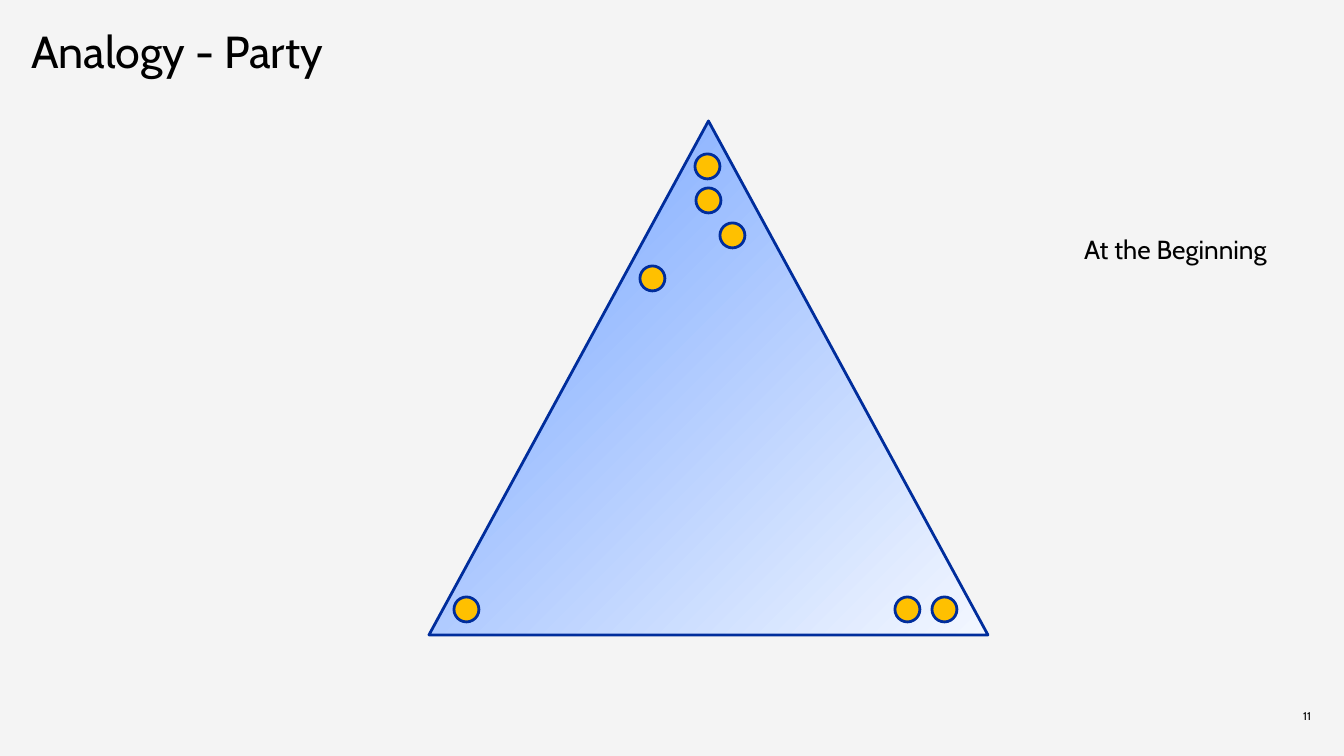
from lxml.etree import SubElement
from pptx import Presentation
from pptx.dml.color import RGBColor
from pptx.enum.shapes import MSO_SHAPE
from pptx.enum.text import MSO_ANCHOR, MSO_AUTO_SIZE, PP_ALIGN
from pptx.oxml.ns import qn
from pptx.util import Pt

EMU_PER_PX = 9144000 / 1344
FONT = "Cabin"
BACKGROUND = RGBColor(0xF4, 0xF4, 0xF4)
BLACK = RGBColor(0x00, 0x00, 0x00)
NAVY = RGBColor(0x00, 0x2D, 0x9C)
AMBER = RGBColor(0xFF, 0xC0, 0x00)
PALE_BLUE = RGBColor(0xF3, 0xF7, 0xFF)
MID_BLUE = RGBColor(0x93, 0xB8, 0xFF)
LIGHT_BLUE = RGBColor(0xB7, 0xD0, 0xFF)
ROOM_GRADIENT = [(0, PALE_BLUE), (74, MID_BLUE), (83, MID_BLUE), (100, LIGHT_BLUE)]

GUEST_SIZE = 25
GUESTS = [(695, 154), (696, 188), (895, 597), (640, 266), (932, 597), (720, 223), (454, 597)]


def px(value):
    return round(value * EMU_PER_PX)


def write_text(shape, text, size, align=PP_ALIGN.LEFT, anchor=MSO_ANCHOR.TOP, line_spacing=None):
    frame = shape.text_frame
    frame.vertical_anchor = anchor
    paragraph = frame.paragraphs[0]
    paragraph.alignment = align
    paragraph.line_spacing = line_spacing
    run = paragraph.add_run()
    run.text = text
    run.font.name = FONT
    run.font.size = Pt(size)
    run.font.color.rgb = BLACK


def remove_insets(frame):
    frame.margin_left = frame.margin_top = frame.margin_right = frame.margin_bottom = 0


def add_title(slide, text):
    title = slide.shapes.title
    title.left, title.top, title.width, title.height = px(31), px(30), px(609), px(118)
    title.text_frame.auto_size = MSO_AUTO_SIZE.NONE
    remove_insets(title.text_frame)
    write_text(title, text, 24, line_spacing=0.9)


def add_page_number(slide, number):
    box = slide.shapes.add_textbox(px(1042), px(704), px(269), px(24))
    box.text_frame.word_wrap = True
    remove_insets(box.text_frame)
    write_text(box, number, 6, PP_ALIGN.RIGHT, MSO_ANCHOR.MIDDLE)


def add_caption(slide, text):
    box = slide.shapes.add_textbox(px(1071), px(227), px(222), px(46))
    box.text_frame.word_wrap = False
    box.text_frame.auto_size = MSO_AUTO_SIZE.SHAPE_TO_FIT_TEXT
    write_text(box, text, 14)


def add_outlined_shape(slide, kind, left, top, width, height):
    shape = slide.shapes.add_shape(kind, px(left), px(top), px(width), px(height))
    shape.shadow.inherit = False
    shape.line.color.rgb = NAVY
    shape.line.width = Pt(1.5)
    return shape


def set_corner_gradient(shape, stops):
    shape.fill.gradient()
    gradient = shape.fill._fill._gradFill
    for child in list(gradient):
        gradient.remove(child)
    stop_list = SubElement(gradient, qn("a:gsLst"))
    for position, color in stops:
        stop = SubElement(stop_list, qn("a:gs"), pos=str(position * 1000))
        SubElement(stop, qn("a:srgbClr"), val=str(color))
    circle = SubElement(gradient, qn("a:path"), {"path": "circle"})
    SubElement(circle, qn("a:fillToRect"), l="100000", t="100000")


def add_room(slide):
    room = add_outlined_shape(slide, MSO_SHAPE.ISOSCELES_TRIANGLE, 429, 121, 559, 514)
    set_corner_gradient(room, ROOM_GRADIENT)


def add_guest(slide, left, top):
    guest = add_outlined_shape(slide, MSO_SHAPE.OVAL, left, top, GUEST_SIZE, GUEST_SIZE)
    guest.fill.solid()
    guest.fill.fore_color.rgb = AMBER


def main():
    presentation = Presentation()
    presentation.slide_width, presentation.slide_height = px(1344), px(756)
    slide = presentation.slides.add_slide(presentation.slide_layouts[5])
    slide.background.fill.solid()
    slide.background.fill.fore_color.rgb = BACKGROUND
    add_title(slide, "Analogy - Party")
    add_page_number(slide, "11")
    add_room(slide)
    for left, top in GUESTS:
        add_guest(slide, left, top)
    add_caption(slide, "At the Beginning")
    presentation.save("out.pptx")


if __name__ == "__main__":
    main()
